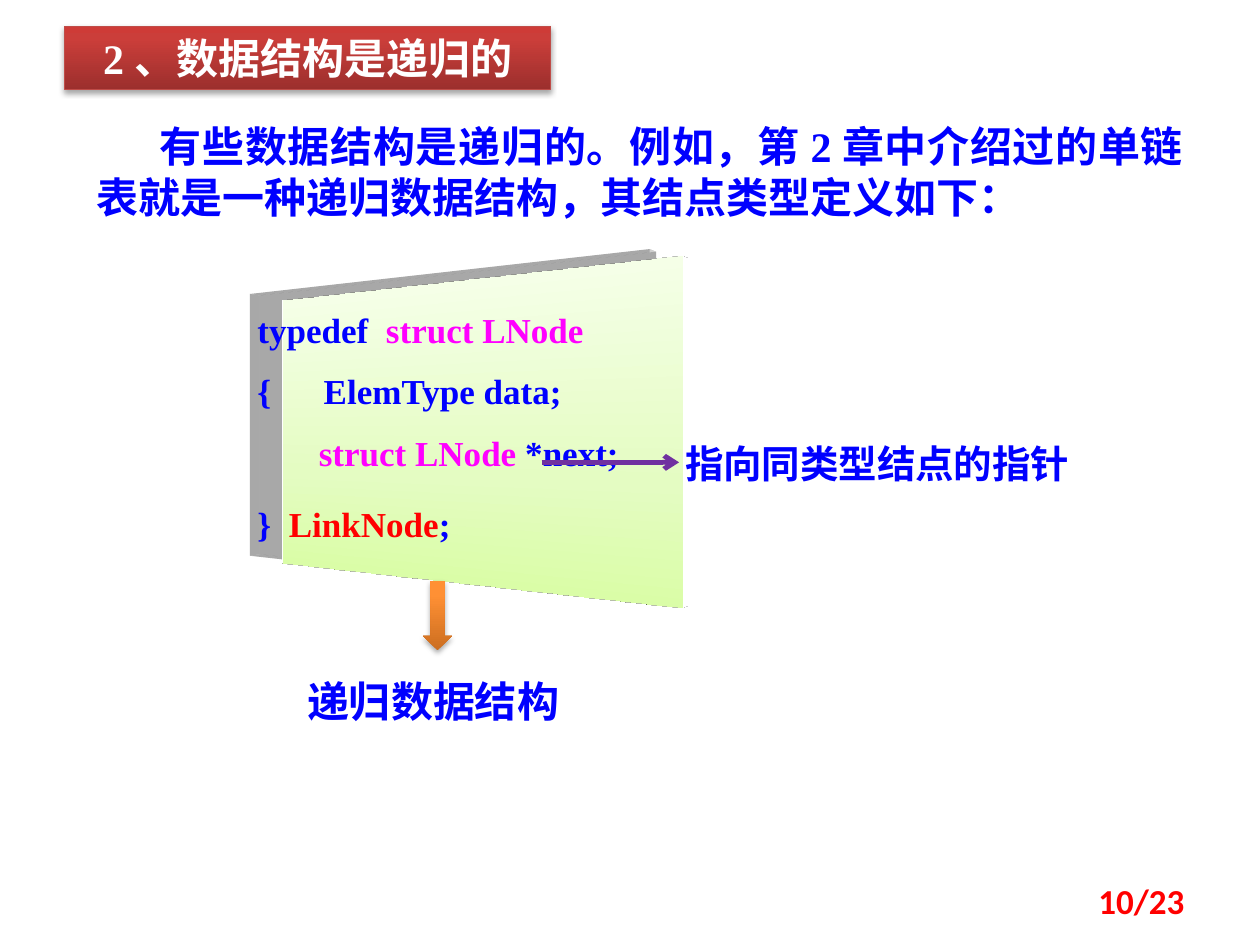
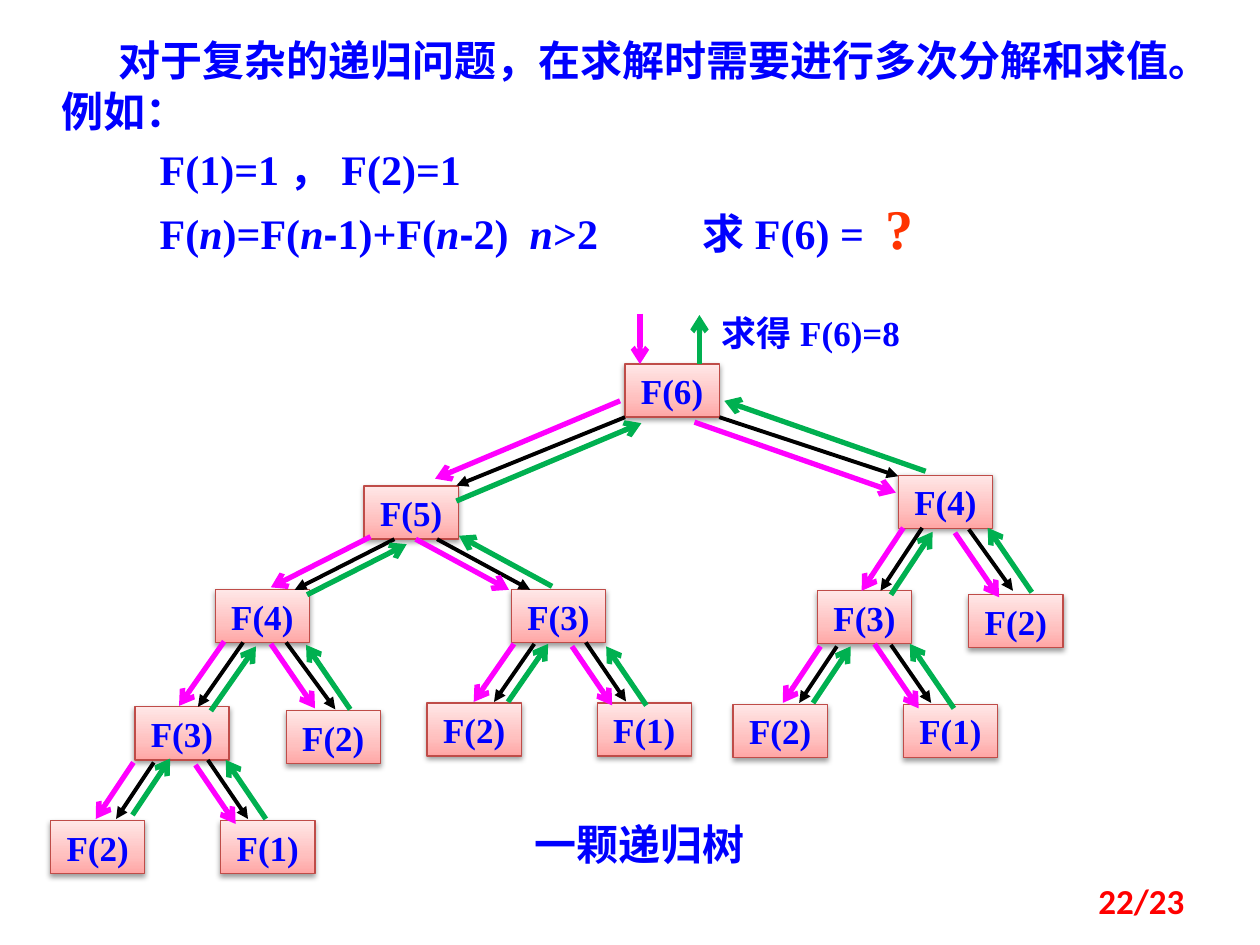
from copy import deepcopy

from lxml import etree
from pptx import Presentation
from pptx.dml.color import RGBColor
from pptx.enum.shapes import MSO_CONNECTOR, MSO_SHAPE
from pptx.enum.text import MSO_ANCHOR, MSO_AUTO_SIZE, PP_ALIGN
from pptx.oxml import parse_xml
from pptx.oxml.ns import nsdecls, qn
from pptx.util import Cm, Pt

RECT, DOWN = MSO_SHAPE.RECTANGLE, MSO_SHAPE.DOWN_ARROW
LINE = MSO_CONNECTOR.STRAIGHT
TOP, MIDDLE = MSO_ANCHOR.TOP, MSO_ANCHOR.MIDDLE
LEFT, CENTER, RIGHT = PP_ALIGN.LEFT, PP_ALIGN.CENTER, PP_ALIGN.RIGHT
JUSTIFY = PP_ALIGN.JUSTIFY
NO_FIT = MSO_AUTO_SIZE.NONE

COLORS = {
    "blue": "0000FF", "pink": "FF00FF", "red": "FF0000", "white": "FFFFFF",
    "green": "00B050", "black": "000000", "purple": "7030A0",
    "orange": "FF3300", "edge": "BF4C48",
}
GRADS = {
    "panel": [(0, "DAFDA7"), (0.35, "E4FCC2"), (1, "F5FFE7")],
    "banner": [(0, "9C2F2D"), (0.8, "CB3E3A"), (1, "CE3B37")],
    "arrow": [(0, "CC6E20"), (0.8, "FF9034"), (1, "FF9136")],
    "node": [(0, "FFA6A5"), (0.35, "FFC0BF"), (1, "FFE7E7")],
}
SERIF = "Times New Roman"
NODE_W, NODE_H = 1.9, 1.07

NODES = [
    ("F(6)", 12.6, 7.34), ("F(5)", 7.34, 9.8), ("F(4)", 18.11, 9.58),
    ("F(4)", 4.34, 11.89), ("F(3)", 10.31, 11.89),
    ("F(3)", 16.48, 11.91), ("F(2)", 19.53, 11.99),
    ("F(3)", 2.72, 14.25), ("F(2)", 5.77, 14.33),
    ("F(2)", 8.61, 14.17), ("F(1)", 12.04, 14.17),
    ("F(2)", 14.78, 14.2), ("F(1)", 18.21, 14.2),
    ("F(2)", 1.02, 16.54), ("F(1)", 4.45, 16.54),
]
# Each edge: start and span of the branch, starts of call and return, their span
EDGES = [
    ((12.6, 8.41), (-3.4, 1.38), (12.5, 8.08), (12.93, 8.53), (-3.73, 1.57)),
    ((14.5, 8.41), (3.61, 1.19), (14, 8.51), (14.6, 8.08), (4.06, 1.42)),
    ((7.95, 10.87), (-2.01, 1.02), (7.47, 10.82), (8.2, 10.97), (-2.01, 1.02)),
    ((8.81, 10.87), (1.88, 1.02), (8.38, 10.87), (9.25, 10.8), (1.88, 1.02)),
    ((4.9, 12.95), (-0.91, 1.3), (4.52, 12.93), (5.16, 13.03), (-0.91, 1.3)),
    ((5.77, 12.95), (0.99, 1.35), (5.46, 12.98), (6.17, 13), (0.89, 1.3)),
    ((10.77, 12.98), (-0.81, 1.17), (10.36, 12.98), (11.05, 12.98), (-0.81, 1.17)),
    ((11.81, 12.95), (0.81, 1.19), (11.53, 13.03), (12.22, 13.03), (0.81, 1.19)),
    ((3.1, 15.37), (-0.76, 1.14), (2.69, 15.37), (3.43, 15.29), (-0.76, 1.14)),
    ((4.19, 15.32), (0.81, 1.19), (3.94, 15.42), (4.55, 15.32), (0.81, 1.19)),
    ((18.59, 10.64), (-0.84, 1.27), (18.21, 10.64), (18.8, 10.72), (-0.84, 1.27)),
    ((19.53, 10.67), (0.89, 1.24), (19.25, 10.74), (19.91, 10.64), (0.89, 1.3)),
    ((16.87, 13.03), (-0.76, 1.14), (16.54, 13.03), (17.15, 13.03), (-0.76, 1.14)),
    ((17.96, 13), (0.81, 1.17), (17.63, 12.98), (18.34, 12.98), (0.89, 1.3)),
]


def rgb(name):
    return RGBColor.from_string(COLORS[name])


def write(shape, paras, size=24, color="blue", font=SERIF, align=LEFT,
          anchor=TOP, gaps=(), indent=0, tabs=(), lead=None, inset=None):
    """Fill a shape with paragraphs, each a string or a list of (text, format) runs."""
    frame = shape.text_frame
    frame.word_wrap, frame.auto_size = True, NO_FIT
    frame.vertical_anchor = anchor
    if inset:
        (frame.margin_left, frame.margin_top,
         frame.margin_right, frame.margin_bottom) = map(Cm, inset)
    for num, runs in enumerate(paras):
        para = frame.add_paragraph() if num else frame.paragraphs[0]
        para.alignment = align
        if num and gaps:
            para.space_before = Pt(gaps[num - 1])
        if lead:
            para.line_spacing = lead
        props = para._p.get_or_add_pPr()
        if indent and not num:
            props.set("indent", str(Cm(indent)))
        if tabs:
            stops = etree.SubElement(props, qn("a:tabLst"))
            for stop in tabs:
                etree.SubElement(stops, qn("a:tab"), pos=str(Cm(stop)), algn="l")
        for text, look in [(runs, {})] if isinstance(runs, str) else runs:
            run = para.add_run()
            run.text = text
            run.font.name = look.get("font", font)
            run.font.size = Pt(look.get("size", size))
            run.font.bold = True
            run.font.italic = look.get("italic", False)
            run.font.color.rgb = rgb(look.get("color", color))


def label(slide, box, paras, **look):
    write(slide.shapes.add_textbox(*map(Cm, box)), paras, **look)


def shade(shape, alpha, blur, dist, angle, scale=100):
    shape.shadow.inherit = False
    effects = shape._element.spPr.find(qn("a:effectLst"))
    effects.append(parse_xml(
        f'<a:outerShdw {nsdecls("a")} blurRad="{Pt(blur)}" dist="{Pt(dist)}" '
        f'dir="{angle * 60000}" sx="{scale * 1000}" sy="{scale * 1000}" '
        f'algn="ctr" rotWithShape="0"><a:srgbClr val="{COLORS["black"]}">'
        f'<a:alpha val="{alpha * 1000}"/></a:srgbClr></a:outerShdw>'))


def paint(shape, grad, edge=None):
    shape.fill.gradient()
    shape.fill.gradient_angle = 90
    stops = shape._element.spPr.find(".//" + qn("a:gsLst"))
    stops.insert(1, deepcopy(stops[0]))
    for stop, (place, color) in zip(shape.fill.gradient_stops, GRADS[grad]):
        stop.position = place
        stop.color.rgb = RGBColor.from_string(color)
    if edge:
        shape.line.color.rgb = rgb(edge)
        shape.line.width = Pt(0.75)
    else:
        shape.line.fill.background()


def block(slide, kind, box, grad, edge=None):
    shape = slide.shapes.add_shape(kind, *map(Cm, box))
    paint(shape, grad, edge)
    return shape


def tilt(shape):
    props = shape._element.spPr
    props.append(parse_xml(
        f'<a:scene3d {nsdecls("a")}><a:camera prst="perspectiveFront" fov="5100000">'
        '<a:rot lat="0" lon="2100000" rev="0"/></a:camera>'
        '<a:lightRig rig="flood" dir="t"><a:rot lat="0" lon="0" rev="13800000"/>'
        '</a:lightRig></a:scene3d>'))
    props.append(parse_xml(
        f'<a:sp3d {nsdecls("a")} extrusionH="107950" prstMaterial="plastic">'
        '<a:bevelT w="82550" h="63500" prst="divot"/><a:bevelB/></a:sp3d>'))


def arrow(slide, start, span, color, width=3, tip="arrow", back=False):
    x, y = start
    wire = slide.shapes.add_connector(
        LINE, Cm(x), Cm(y), Cm(x + span[0]), Cm(y + span[1]))
    wire.line.color.rgb = rgb(color)
    wire.line.width = Pt(width)
    props = wire._element.spPr
    end = "a:headEnd" if back else "a:tailEnd"
    etree.SubElement(props.find(qn("a:ln")), qn(end), type=tip)
    etree.SubElement(props, qn("a:effectLst"))


def page(slide, num):
    label(slide, (18.21, 17.65, 5.92, 1.02), [f"{num}/23"], size=20,
          color="red", font="Calibri", align=RIGHT, anchor=MIDDLE)


def node(slide, name, x, y):
    box = block(slide, RECT, (x, y, NODE_W, NODE_H), "node", "edge")
    shade(box, 38, 3.1, 1.6, 90)
    write(box, [name], size=20, align=CENTER, anchor=MIDDLE)


def list_slide(deck):
    slide = deck.slides.add_slide(deck.slide_layouts[5])
    panel = block(slide, RECT, (4.29, 5.72, 9.6, 5.97), "panel")
    shade(panel, 18, 14.5, 19, 192, 110)
    tilt(panel)
    pink = {"color": "pink"}
    write(panel, [
        [("typedef  ", {}), ("struct LNode", pink)],
        "{      ElemType data;",
        [("       ", {}), ("struct LNode", pink), (" *next;", {})],
        [("}  ", {}), ("LinkNode", {"color": "red"}), (";", {})],
    ], size=20, align=JUSTIFY, gaps=(11, 11, 17), inset=(0.9, 0.5, 0.5, 0.5))

    title = slide.shapes.title
    title.left, title.top, title.width, title.height = map(Cm, (1.3, 0.53, 9.8, 1.27))
    paint(title, "banner", "edge")
    shade(title, 35, 3.1, 1.8, 90)
    write(title, ["2、数据结构是递归的"], color="white", align=CENTER, anchor=MIDDLE)

    label(slide, (1.7, 2.31, 22.4, 2.31), [
        "有些数据结构是递归的。例如，第2章中介绍过的单链表就是一种递归数据结构，其结点类型定义如下："
    ], align=JUSTIFY, indent=1.27)
    label(slide, (13.56, 8.74, 8.94, 1.19), ["指向同类型结点的指针"], size=22)
    arrow(slide, (10.92, 9.32), (2.77, 0), "purple", 2.75)
    label(slide, (5.94, 13.28, 5.94, 1.5), ["递归数据结构"], lead=1.2)
    shade(block(slide, DOWN, (8.53, 11.71, 0.58, 1.4), "arrow"), 35, 3.1, 1.8, 90)
    page(slide, 10)


def tree_slide(deck):
    slide = deck.slides.add_slide(deck.slide_layouts[6])
    label(slide, (0.99, 0.58, 23.62, 2.31), [
        "对于复杂的递归问题，在求解时需要进行多次分解和求值。", "例如："
    ], indent=1.15)
    var, dash = ("n", {"italic": True}), ("-", {"font": "Arial"})
    label(slide, (2.97, 2.77, 17.15, 2.64), [
        "F(1)=1，F(2)=1",
        [("F(", {}), var, (")=F(", {}), var, dash, ("1)+F(", {}), var, dash,
         ("2)\t", {}), var, (">2\t求F(6) =\t", {}),
         ("?", {"size": 32, "color": "orange"})],
    ], tabs=(7.46, 10.95, 14.63))

    for item in NODES:
        node(slide, *item)
    for start, span, call, back, reach in EDGES:
        arrow(slide, start, span, "black", 2.25, "triangle")
        arrow(slide, call, reach, "pink")
        arrow(slide, back, reach, "green", back=True)
    arrow(slide, (12.9, 6.32), (0, 1.02), "pink")
    arrow(slide, (14.1, 6.35), (0, 0.99), "green", back=True)

    label(slide, (14.3, 6.15, 5.31, 1.12), ["求得F(6)=8"], size=20)
    label(slide, (10.52, 16.38, 6.15, 1.27), ["一颗递归树"])
    page(slide, 22)


def main():
    deck = Presentation()
    deck.slide_width, deck.slide_height = Cm(25.4), Cm(19.05)
    list_slide(deck)
    tree_slide(deck)
    deck.save("out.pptx")


if __name__ == "__main__":
    main()
